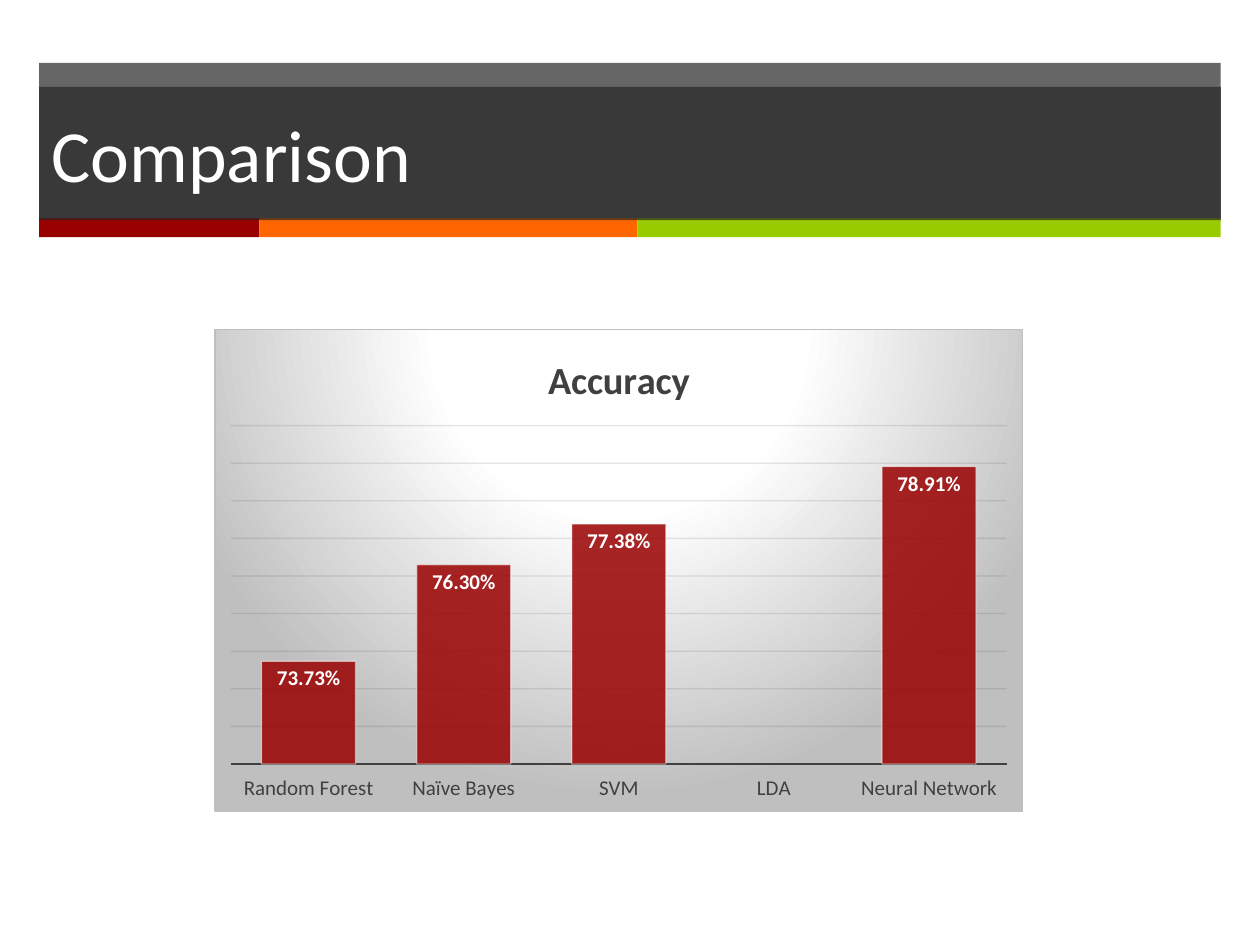
from lxml.etree import SubElement
from pptx import Presentation
from pptx.chart.data import CategoryChartData
from pptx.dml.color import RGBColor
from pptx.enum.chart import XL_CHART_TYPE, XL_LABEL_POSITION, XL_TICK_LABEL_POSITION, XL_TICK_MARK
from pptx.enum.shapes import MSO_SHAPE
from pptx.enum.text import MSO_ANCHOR, PP_ALIGN
from pptx.oxml import parse_xml
from pptx.oxml.ns import nsdecls, qn
from pptx.util import Cm, Pt

WHITE = RGBColor(0xFF, 0xFF, 0xFF)
BLACK = RGBColor(0x00, 0x00, 0x00)
CHARCOAL = RGBColor(0x26, 0x26, 0x26)
TEXT_GREY = RGBColor(0x40, 0x40, 0x40)
GRID_GREY = RGBColor(0x0D, 0x0D, 0x0D)
BORDER_GREY = RGBColor(0xBF, 0xBF, 0xBF)
RED = RGBColor(0x99, 0x00, 0x00)
ORANGE = RGBColor(0xFF, 0x66, 0x00)
GREEN = RGBColor(0x99, 0xCC, 0x00)

TITLE = "Comparison"
CHART_TITLE = "Accuracy"
ACCURACY = {
    "Random Forest": 0.7373,
    "Naïve Bayes": 0.763,
    "SVM": 0.7738,
    "LDA": None,
    "Neural Network": 0.7891,
}
STRIPES = [(4.44, RED), (7.62, ORANGE), (11.76, GREEN)]  # width in cm, colour
BACKGROUND_STOPS = [(0, WHITE), (39, WHITE), (100, BORDER_GREY)]

BAND_LEFT, BAND_WIDTH = 0.79, 23.82
STRIPE_TOP, STRIPE_HEIGHT = 4.4, 0.38

FONTS = {
    "title": {"name": "Calibri", "size": Pt(42), "bold": False, "color": WHITE},
    "chart": {"name": "Calibri", "size": Pt(10), "color": BLACK},
    "chart title": {"name": "Calibri", "size": Pt(22), "bold": True, "color": TEXT_GREY},
    "category": {"name": "Calibri", "size": Pt(12), "color": TEXT_GREY},
    "label": {"name": "Calibri", "size": Pt(12), "bold": True, "color": WHITE},
}


def format_font(font, style):
    for attribute, value in FONTS[style].items():
        if attribute == "color":
            font.color.rgb = value
        else:
            setattr(font, attribute, value)


def fill_solid(fill, color):
    fill.solid()
    fill.fore_color.rgb = color


def format_line(line, color, width):
    fill_solid(line.fill, color)
    line.width = Pt(width)


def set_opacity(properties, percent):
    """Make the first colour found inside the element partly transparent."""
    color = next(properties.iter(qn("a:srgbClr")))
    SubElement(color, qn("a:alpha"), val=str(percent * 1000))


def add_band(slide, left, top, width, height, color):
    band = slide.shapes.add_shape(
        MSO_SHAPE.RECTANGLE, Cm(left), Cm(top), Cm(width), Cm(height))
    band.shadow.inherit = False
    fill_solid(band.fill, color)
    band.line.fill.background()
    return band


def add_header(slide):
    backdrop = add_band(slide, BAND_LEFT, 1.27, BAND_WIDTH, 3.15, CHARCOAL)
    set_opacity(backdrop.element, 70)
    left = BAND_LEFT
    for width, color in STRIPES:
        add_band(slide, left, STRIPE_TOP, width, STRIPE_HEIGHT, color)
        left += width

    title = slide.shapes.title
    title.left, title.top = Cm(BAND_LEFT), Cm(1.75)
    title.width, title.height = Cm(BAND_WIDTH), Cm(2.69)
    fill_solid(title.fill, CHARCOAL)
    set_opacity(title.element, 70)
    title.text_frame.text = TITLE
    title.text_frame.vertical_anchor = MSO_ANCHOR.MIDDLE
    paragraph = title.text_frame.paragraphs[0]
    paragraph.alignment = PP_ALIGN.LEFT
    format_font(paragraph.runs[0].font, "title")
    title.element.getparent().append(title.element)  # in front of the bands


def add_chart_background(chart):
    stops = "".join(
        f'<a:gs pos="{position * 1000}"><a:srgbClr val="{color}"/></a:gs>'
        for position, color in BACKGROUND_STOPS)
    background = parse_xml(
        f'<c:spPr {nsdecls("c", "a")}><a:gradFill><a:gsLst>{stops}</a:gsLst>'
        '<a:path path="circle">'
        '<a:fillToRect l="50000" t="-80000" r="50000" b="180000"/></a:path></a:gradFill>'
        f'<a:ln w="{Pt(0.75)}"><a:solidFill><a:srgbClr val="{BORDER_GREY}"/></a:solidFill></a:ln>'
        '</c:spPr>')
    chart.element.find(qn("c:chart")).addnext(background)


def add_accuracy_chart(slide):
    data = CategoryChartData(number_format="0.00%")
    data.categories = list(ACCURACY)
    data.add_series(CHART_TITLE, list(ACCURACY.values()))
    chart = slide.shapes.add_chart(
        XL_CHART_TYPE.COLUMN_CLUSTERED, Cm(4.32), Cm(6.63), Cm(16.31), Cm(9.73), data).chart
    format_font(chart.font, "chart")
    chart.has_legend = False
    chart.has_title = True
    chart.chart_title.text_frame.text = CHART_TITLE
    format_font(chart.chart_title.text_frame.paragraphs[0].runs[0].font, "chart title")
    add_chart_background(chart)

    category_axis = chart.category_axis
    category_axis.major_tick_mark = XL_TICK_MARK.NONE
    category_axis.tick_label_position = XL_TICK_LABEL_POSITION.LOW
    format_font(category_axis.tick_labels.font, "category")
    format_line(category_axis.format.line, TEXT_GREY, 1.5)

    value_axis = chart.value_axis
    value_axis.visible = False
    value_axis.minimum_scale, value_axis.maximum_scale = 0.71, 0.8
    value_axis.major_unit = 0.01
    value_axis.has_major_gridlines = True
    format_line(value_axis.major_gridlines.format.line, GRID_GREY, 0.75)
    set_opacity(next(chart.element.iter(qn("c:majorGridlines"))), 10)

    plot = chart.plots[0]
    plot.gap_width = 65
    plot.vary_by_categories = False
    series = plot.series[0]
    series.invert_if_negative = False
    fill_solid(series.format.fill, RED)
    format_line(series.format.line, WHITE, 0.75)
    series_properties = next(chart.element.iter(qn("c:ser"))).find(qn("c:spPr"))
    set_opacity(series_properties, 85)
    set_opacity(series_properties.find(qn("a:ln")), 50)

    labels = series.data_labels
    labels.show_value = True
    labels.position = XL_LABEL_POSITION.INSIDE_END
    labels.number_format = "0.00%"
    labels.number_format_is_linked = False
    format_font(labels.font, "label")


def main():
    presentation = Presentation()
    presentation.slide_width, presentation.slide_height = Cm(25.4), Cm(19.05)
    slide = presentation.slides.add_slide(presentation.slide_layouts[5])
    add_header(slide)
    add_accuracy_chart(slide)
    presentation.save("out.pptx")


if __name__ == "__main__":
    main()
